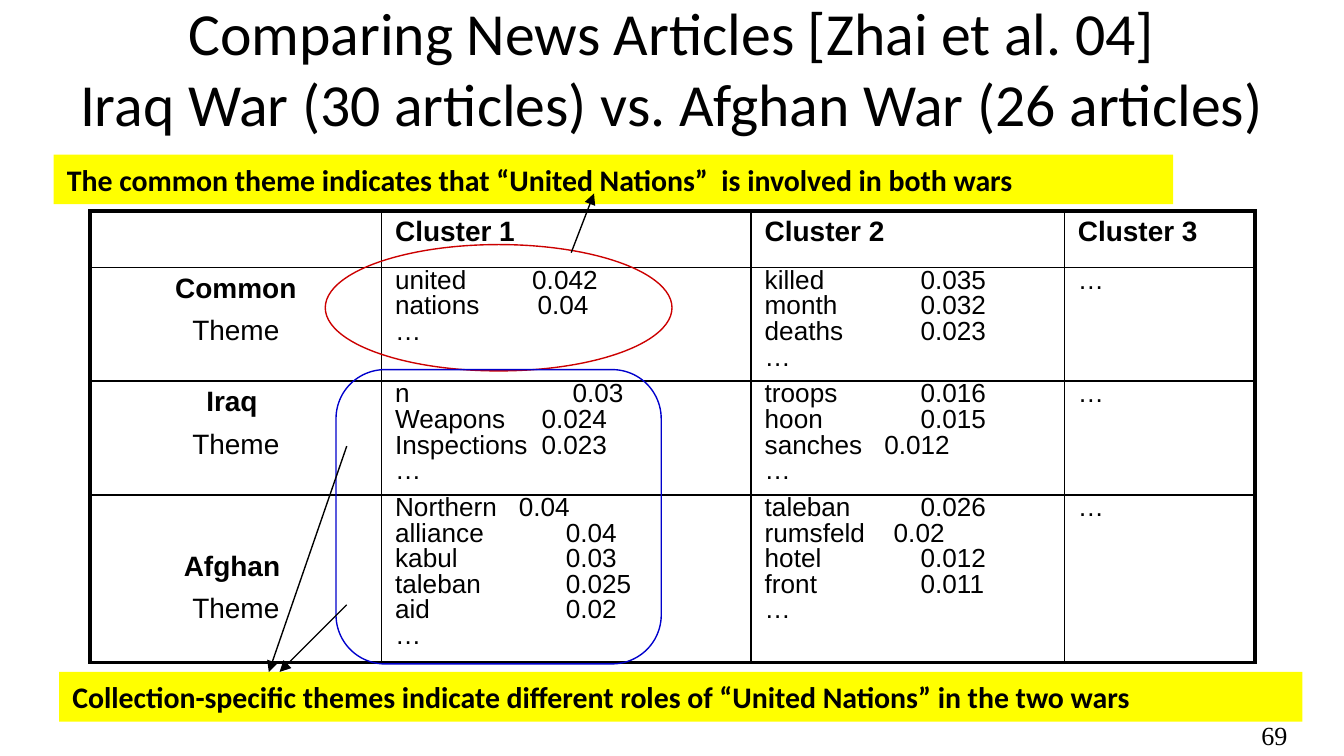
"""Slide comparing the themes of Iraq War and Afghan War news articles."""
import lxml.etree
import pptx
import pptx.dml.color
import pptx.enum.shapes
import pptx.enum.text
import pptx.oxml
import pptx.oxml.ns
import pptx.util

Inches = pptx.util.Inches
Pt = pptx.util.Pt
qn = pptx.oxml.ns.qn
SHAPE = pptx.enum.shapes.MSO_SHAPE
ALIGN = pptx.enum.text.PP_ALIGN
COLORS = {"black": "000000", "yellow": "FFFF00", "red": "CC0000", "blue": "0000CC"}


def rgb(name):
    return pptx.dml.color.RGBColor.from_string(COLORS[name])


def write(p, text, size, font, bold=False, align=ALIGN.LEFT):
    p.text = text
    p.alignment = align
    p.font.size = Pt(size)
    p.font.name = font
    p.font.bold = bold
    p.font.color.rgb = rgb("black")


prs = pptx.Presentation()
prs.slide_width, prs.slide_height = Inches(10), Inches(10) * 9 // 16
s = prs.slides.add_slide(prs.slide_layouts[6])

title = "Comparing News Articles [Zhai et al. 04]\vIraq War (30 articles) vs. Afghan War (26 articles)"
for box, text, size, font, align in [
    ((7.33, 5.32, 2.33, 0.3), "69", 14, "Times New Roman", ALIGN.RIGHT),
    ((0, 0.06, 10, 0.88), title, 32, "Calibri", ALIGN.CENTER),
]:
    tf = s.shapes.add_textbox(*map(Inches, box)).text_frame
    tf.word_wrap = True
    tf.vertical_anchor = pptx.enum.text.MSO_ANCHOR.MIDDLE
    tf.margin_left = tf.margin_right = Inches(0.08)
    tf.margin_top = tf.margin_bottom = Inches(0.04)
    write(tf.paragraphs[0], text, size, font, align=align)

headers = ["", "Cluster 1", "Cluster 2", "Cluster 3"]
themes = [
    ("Common",
     [("united", "0.042", 1.02), ("nations", "0.04", 1.06)],
     [("killed", "0.035", 1.16), ("month", "0.032", 1.16), ("deaths", "0.023", 1.16)]),
    ("Iraq ",
     [("n", "0.03", 1.32), ("Weapons", "0.024", 1.09), ("Inspections", "0.023", 1.09)],
     [("troops", "0.016", 1.16), ("hoon", "0.015", 1.16), ("sanches", "0.012", 0.89)]),
    ("Afghan ",
     [("Northern", "0.04", 0.92), ("alliance", "0.04", 1.27), ("kabul", "0.03", 1.27),
      ("taleban", "0.025", 1.27), ("aid", "0.02", 1.27)],
     [("taleban", "0.026", 1.16), ("rumsfeld", "0.02", 0.96), ("hotel", "0.012", 1.16),
      ("front", "0.011", 1.16)]),
]
widths = [2.17, 2.75, 2.33, 1.42]
heights = [0.42, 0.84, 0.84, 1.24]
table = s.shapes.add_table(4, 4, Inches(0.67), Inches(1.57), Inches(sum(widths)), Inches(sum(heights))).table
table.first_row = table.horz_banding = False
for column, width in zip(table.columns, widths):
    column.width = Inches(width)
for row, height in zip(table.rows, heights):
    row.height = Inches(height)

for i in range(4):
    for j in range(4):
        cell = table.cell(i, j)
        cell.margin_left = cell.margin_right = Inches(0.1)
        cell.margin_top = cell.margin_bottom = Inches(0.04)
        cell.fill.background()
        edges = [("a:lnL", j == 0), ("a:lnR", j == 3), ("a:lnT", i == 0), ("a:lnB", i == 3)]
        for k, (tag, outer) in enumerate(edges):
            ln = lxml.etree.Element(qn(tag), w=str(Pt(2.25 if outer else 1)))
            fill = lxml.etree.SubElement(ln, qn("a:solidFill"))
            lxml.etree.SubElement(fill, qn("a:srgbClr"), val=COLORS["black"])
            cell._tc.get_or_add_tcPr().insert(k, ln)

for cell, text in zip(table.rows[0].cells, headers):
    write(cell.text_frame.paragraphs[0], text, 15, "Arial", True)

for i, (name, *clusters) in enumerate(themes, 1):
    label = table.cell(i, 0)
    if i == len(themes):
        label.margin_top = Inches(0.42)
    tf = label.text_frame
    write(tf.paragraphs[0], name, 15, "Arial", True, ALIGN.CENTER)
    p = tf.add_paragraph()
    write(p, "Theme", 15, "Arial", align=ALIGN.CENTER)
    p.space_before = Pt(6)
    for j, words in enumerate(clusters + [[]], 1):
        tf = table.cell(i, j).text_frame
        for k, (word, value, stop) in enumerate(words + [("…", "", 0)]):
            p = tf.add_paragraph() if k else tf.paragraphs[0]
            write(p, f"{word}\t{value}" if value else word, 14, "Arial")
            p.line_spacing = 0.7
            p.space_before = Pt(2.7)
            if value:
                tabs = lxml.etree.Element(qn("a:tabLst"))
                lxml.etree.SubElement(tabs, qn("a:tab"), pos=str(Inches(stop)), algn="l")
                p._p.get_or_add_pPr().find(qn("a:defRPr")).addprevious(tabs)

for box, text in [
    ((0.4, 1.15, 8.33, 0.37), "The common theme indicates that “United Nations”  is involved in both wars"),
    ((0.44, 5, 9.25, 0.37), "Collection-specific themes indicate different roles of “United Nations” in the two wars"),
]:
    sp = s.shapes.add_shape(SHAPE.RECTANGLE, *map(Inches, box))
    sp.shadow.inherit = False
    sp.fill.solid()
    sp.fill.fore_color.rgb = rgb("yellow")
    sp.line.fill.background()
    sp.text_frame.word_wrap = True
    write(sp.text_frame.paragraphs[0], text, 16, "Calibri", True)

for kind, box, color in [
    (SHAPE.OVAL, (2.42, 1.82, 2.58, 0.94), "red"),
    (SHAPE.ROUNDED_RECTANGLE, (2.5, 2.75, 2.42, 2.19), "blue"),
]:
    sp = s.shapes.add_shape(kind, *map(Inches, box))
    sp.shadow.inherit = False
    sp.fill.background()
    sp.line.color.rgb = rgb(color)
    sp.line.width = Pt(0.75)

for ends in [(4.25, 1.88, 4.42, 1.44), (2.58, 4.5, 2.08, 5), (2.58, 3.32, 2, 5)]:
    arrow = s.shapes.add_connector(pptx.enum.shapes.MSO_CONNECTOR.STRAIGHT, *map(Inches, ends))
    arrow.line.color.rgb = rgb("black")
    arrow.line.width = Pt(0.75)
    lxml.etree.SubElement(arrow.line._get_or_add_ln(), qn("a:tailEnd"), type="triangle")
    lxml.etree.SubElement(arrow._element.spPr, qn("a:effectLst"))

prs.save("out.pptx")
